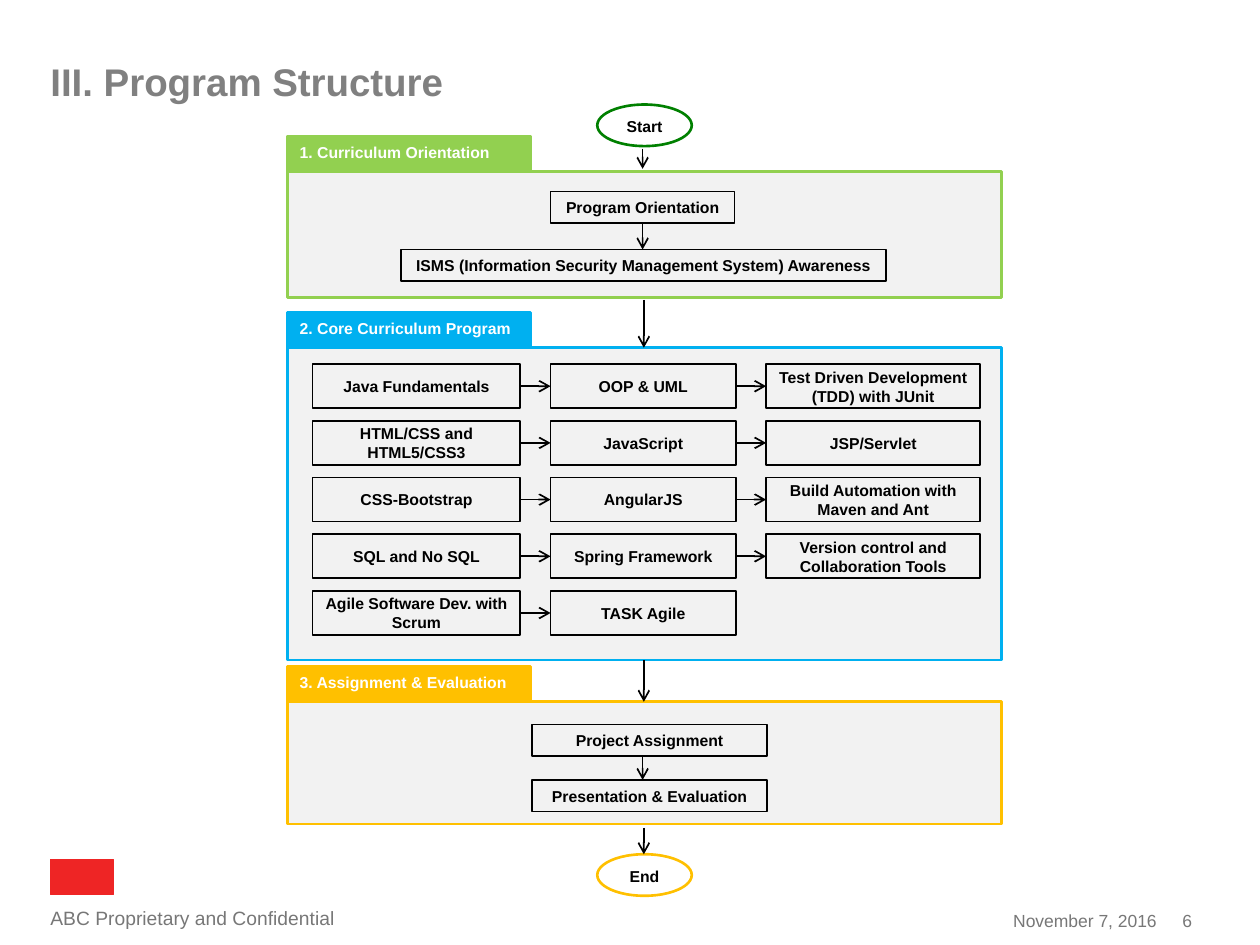
from pptx import Presentation, util as u
from pptx.dml.color import RGBColor
from pptx.enum import shapes, text
from pptx.oxml.ns import qn
from lxml import etree

BLACK = RGBColor(0x00, 0x00, 0x00)
WHITE = RGBColor(0xFF, 0xFF, 0xFF)
PANEL = RGBColor(0xF2, 0xF2, 0xF2)
GREEN = RGBColor(0x92, 0xD0, 0x50)
DARK_GREEN = RGBColor(0x00, 0x80, 0x00)
BLUE = RGBColor(0x00, 0xB0, 0xF0)
AMBER = RGBColor(0xFF, 0xC0, 0x00)
RED = RGBColor(0xEE, 0x25, 0x25)
TITLE_GRAY = RGBColor(0x80, 0x80, 0x80)
FOOT_GRAY = RGBColor(0x77, 0x77, 0x77)
RECT, OVAL = shapes.MSO_SHAPE.RECTANGLE, shapes.MSO_SHAPE.OVAL
LEFT, CENTER, RIGHT = text.PP_ALIGN.LEFT, text.PP_ALIGN.CENTER, text.PP_ALIGN.RIGHT
TOP, MIDDLE, BOTTOM = text.MSO_ANCHOR.TOP, text.MSO_ANCHOR.MIDDLE, text.MSO_ANCHOR.BOTTOM

prs = Presentation()
prs.slide_width, prs.slide_height = u.Inches(10), u.Inches(7.5)
s = prs.slides.add_slide(prs.slide_layouts[5])


def write(sp, words, size=9, color=BLACK, bold=True, align=CENTER, anchor=MIDDLE, inset=None):
    tf = sp.text_frame
    tf.word_wrap = True
    tf.auto_size = text.MSO_AUTO_SIZE.NONE
    tf.vertical_anchor = anchor
    if inset is not None:
        tf.margin_left = tf.margin_right = tf.margin_top = tf.margin_bottom = u.Inches(inset)
    for i, words_line in enumerate(words.split("\n")):
        p = tf.add_paragraph() if i else tf.paragraphs[0]
        p.alignment = align
        r = p.add_run()
        r.text = words_line
        r.font.name, r.font.size, r.font.bold = "Arial", u.Pt(size), bold
        r.font.color.rgb = color


def box(x, y, w, h, words="", kind=RECT, fill=None, line=BLACK, width=1, **fmt):
    sp = s.shapes.add_shape(kind, u.Inches(x), u.Inches(y), u.Inches(w), u.Inches(h))
    sp.shadow.inherit = False
    if fill is None:
        sp.fill.background()
    else:
        sp.fill.solid()
        sp.fill.fore_color.rgb = fill
    sp.line.color.rgb = line
    sp.line.width = u.Pt(width)
    if words:
        write(sp, words, **fmt)


title = s.shapes.title
title.left, title.top, title.width, title.height = (u.Inches(v) for v in (0.4, 0.5, 9.2, 0.86))
write(title, "III. Program Structure", size=22, color=TITLE_GRAY, align=LEFT, anchor=TOP, inset=0)
title.text_frame.paragraphs[0].line_spacing = 0.9

for x, y, w, h, words, size, align, anchor in [
    (0.4, 7.19, 4.16, 0.18, "ABC Proprietary and Confidential", 11, LEFT, MIDDLE),
    (7.18, 7.22, 2, 0.17, "November 7, 2016", 10, RIGHT, BOTTOM),
    (9.22, 7.22, 0.24, 0.17, "6", 10, RIGHT, BOTTOM),
]:
    tb = s.shapes.add_textbox(u.Inches(x), u.Inches(y), u.Inches(w), u.Inches(h))
    write(tb, words, size=size, color=FOOT_GRAY, bold=False, align=align, anchor=anchor, inset=0)
box(0.4, 6.82, 0.5, 0.28, fill=RED, line=RED, width=0.25)

for y, h, color, heading in [
    (1.36, 1, GREEN, "1. Curriculum Orientation"),
    (2.76, 2.48, BLUE, "2. Core Curriculum Program"),
    (5.57, 0.97, AMBER, "3. Assignment & Evaluation"),
]:
    box(2.28, y, 5.67, h, fill=PANEL, line=color, width=1.5)
    box(2.28, y - 0.28, 1.93, 0.28, heading, fill=color, line=color, width=1.5,
        color=WHITE, align=LEFT, anchor=TOP)

for y, words, color in [(0.83, "Start", DARK_GREEN), (6.78, "End", AMBER)]:
    box(4.74, y, 0.75, 0.33, words, kind=OVAL, line=color, width=1.5, anchor=TOP)

for x, y, w, words in [
    (4.37, 1.52, 1.46, "Program Orientation"),
    (3.18, 1.98, 3.85, "ISMS (Information Security Management System) Awareness"),
    (4.22, 5.75, 1.87, "Project Assignment"),
    (4.22, 6.19, 1.87, "Presentation & Evaluation"),
]:
    box(x, y, w, 0.25, words)

arrows = [(5.1, y1, 5.1, y2) for y1, y2 in [(1.18, 1.34), (1.77, 1.98), (6, 6.19)]]
arrows += [(5.11, y1, 5.11, y2) for y1, y2 in [(2.38, 2.76), (5.24, 5.57), (6.57, 6.78)]]

columns = [(2.48, 1.65), (4.37, 1.47), (6.08, 1.7)]
top, pitch, height = 2.89, 0.45, 0.35
courses = [
    ["Java Fundamentals", "OOP & UML", "Test Driven Development\n(TDD) with JUnit"],
    ["HTML/CSS and HTML5/CSS3", "JavaScript", "JSP/Servlet"],
    ["CSS-Bootstrap", "AngularJS", "Build Automation with Maven and Ant"],
    ["SQL and No SQL", "Spring Framework", "Version control and Collaboration Tools"],
    ["Agile Software Dev. with Scrum", "TASK Agile"],
]
for row, names in enumerate(courses):
    y = top + row * pitch
    for col, name in enumerate(names):
        x, w = columns[col]
        box(x, y, w, height, name)
        if col:
            before, before_w = columns[col - 1]
            arrows.append((before + before_w, y + height / 2, x, y + height / 2))

for ends in arrows:
    cn = s.shapes.add_connector(shapes.MSO_CONNECTOR.STRAIGHT, *(u.Inches(v) for v in ends))
    cn.line.color.rgb = BLACK
    cn.line.width = u.Pt(1)
    etree.SubElement(cn.line._get_or_add_ln(), qn("a:tailEnd"), type="arrow")
    etree.SubElement(cn._element.spPr, qn("a:effectLst"))

prs.save("out.pptx")
